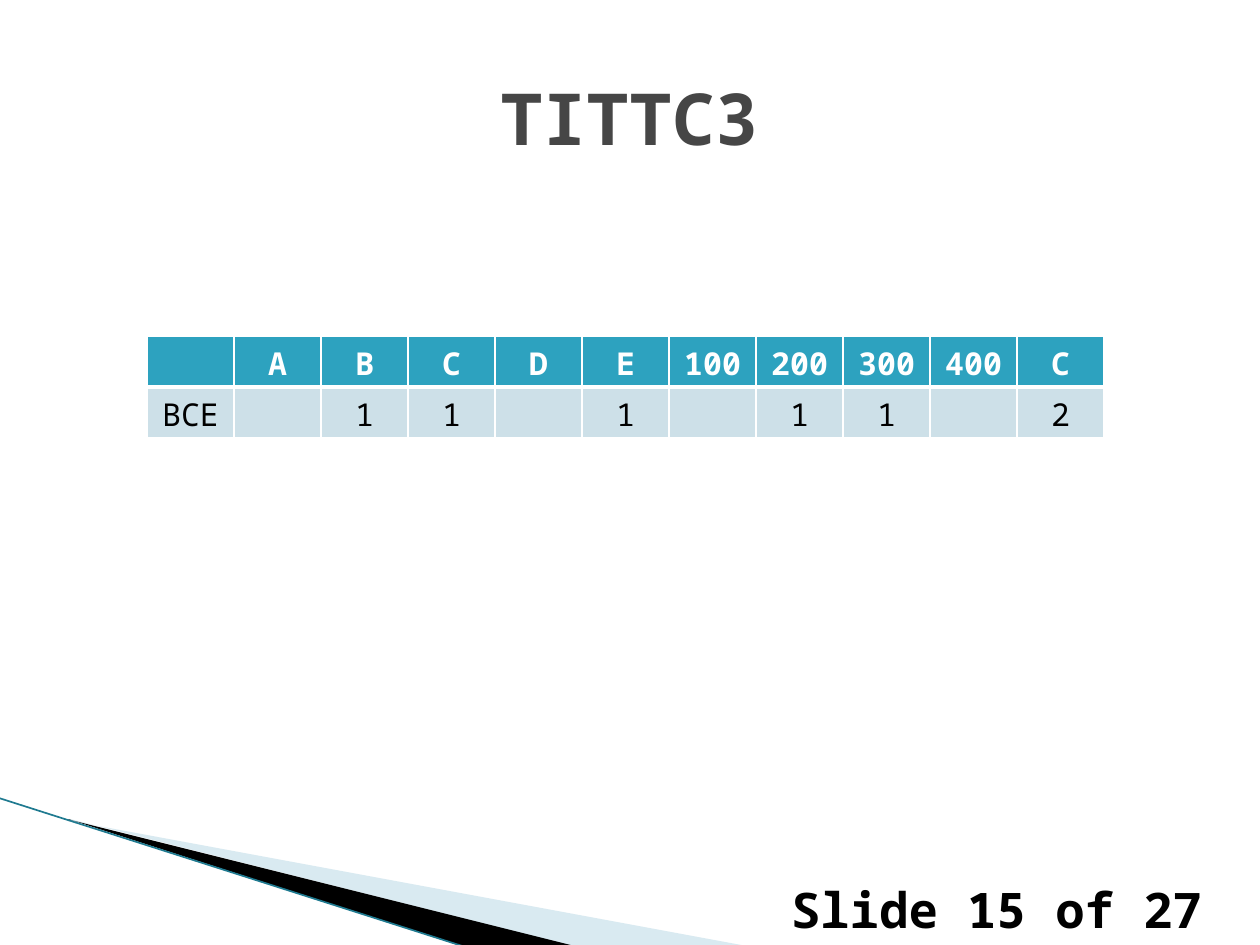
from lxml.etree import SubElement as Sub
from pptx import Presentation
from pptx.dml.color import RGBColor as RGB
from pptx.enum.shapes import MSO_CONNECTOR as Conn
from pptx.enum.text import MSO_ANCHOR as Anchor, PP_ALIGN as Align
from pptx.oxml.ns import qn
from pptx.util import Pt

FONT = "Noto Sans Mono"
HEX = {
    "ice": "A0CBDC", "black": "000000", "edge": "1F7A90", "title": "464646",
    "head": "2DA2BF", "body": "CDE0E8", "white": "FFFFFF",
}
ROWS = [
    ["", "A", "B", "C", "D", "E", "100", "200", "300", "400", "C"],
    ["BCE", "", "1", "1", "", "1", "", "1", "1", "", "2"],
]


def paint(fill, name):
    fill.solid()
    fill.fore_color.rgb = RGB.from_string(HEX[name])


def write(frame, text, size=18, color="black", bold=False, align=Align.LEFT):
    par = frame.paragraphs[0]
    par.alignment = align
    if text:
        run = par.add_run()
        run.text = text
        font = run.font
        font.name, font.size, font.bold = FONT, Pt(size), bold
        font.color.rgb = RGB.from_string(HEX[color])


def add_text(slide, box, text, anchor=Anchor.TOP, **style):
    frame = slide.shapes.add_textbox(*map(Pt, box)).text_frame
    frame.word_wrap = True
    frame.vertical_anchor = anchor
    write(frame, text, **style)


def add_wedge(slide, left, top, points, color, alpha=None):
    spots = [(left + x, top + y) for x, y in points]
    pen = slide.shapes.build_freeform(*spots[0], scale=Pt(1))
    pen.add_line_segments(spots[1:], close=True)
    shape = pen.convert_to_shape()
    shape.shadow.inherit = False
    shape.line.fill.background()
    paint(shape.fill, color)
    if alpha:
        tint = shape.fill._xPr.find(".//" + qn("a:srgbClr"))
        Sub(tint, qn("a:alpha"), val=str(alpha * 1000))


def add_corner(slide, left, top):
    """Draw the swoosh at the lower left."""
    add_wedge(slide, left + 40, top + 12.5,
              [(0, 0.5), (388.8, 72.5), (288.7, 72.5), (0, 0)], "ice", 40)
    add_wedge(slide, left + 38.5, top + 11.5,
              [(0, 0), (291, 73.5), (229.5, 74), (0.7, 0.7)], "black")
    line = slide.shapes.add_connector(
        Conn.STRAIGHT, Pt(left - 0.7), Pt(top), Pt(left + 267), Pt(top + 85.5))
    line.line.width = Pt(0.95)
    line.line.color.rgb = RGB.from_string(HEX["edge"])
    Sub(line._element.spPr, qn("a:effectLst"))


def set_edges(cell, **widths):
    props = cell._tc.get_or_add_tcPr()
    for spot, (side, width) in enumerate(widths.items()):
        edge = props.makeelement(qn("a:ln" + side), {"w": str(Pt(width))})
        solid = Sub(edge, qn("a:solidFill"))
        Sub(solid, qn("a:srgbClr"), val=HEX["white"])
        props.insert(spot, edge)


def add_grid(slide, box, rows):
    shape = slide.shapes.add_table(len(rows), len(rows[0]), *map(Pt, box))
    table = shape.table
    for col in table.columns:
        col.width = Pt(box[2] / len(rows[0]))
    for r, row in enumerate(rows):
        head = r == 0
        for c, text in enumerate(row):
            cell = table.cell(r, c)
            paint(cell.fill, "head" if head else "body")
            set_edges(cell, L=1, R=1, T=1 if head else 3, B=3 if head else 1)
            write(cell.text_frame, text, bold=head, align=Align.CENTER,
                  color="white" if head else "black")


def main():
    deck = Presentation()
    deck.slide_width, deck.slide_height = Pt(720), Pt(540)
    slide = deck.slides.add_slide(deck.slide_layouts[6])
    add_corner(slide, 0, 456)
    add_text(slide, (445, 499, 275, 41), "Slide 15 of 27", size=28, bold=True)
    add_text(slide, (36, 21.6, 648, 90), "TITTC3", anchor=Anchor.MIDDLE,
             size=41, color="title", bold=True, align=Align.CENTER)
    add_grid(slide, (84, 192, 547, 58.4), ROWS)
    deck.save("out.pptx")


if __name__ == "__main__":
    main()
